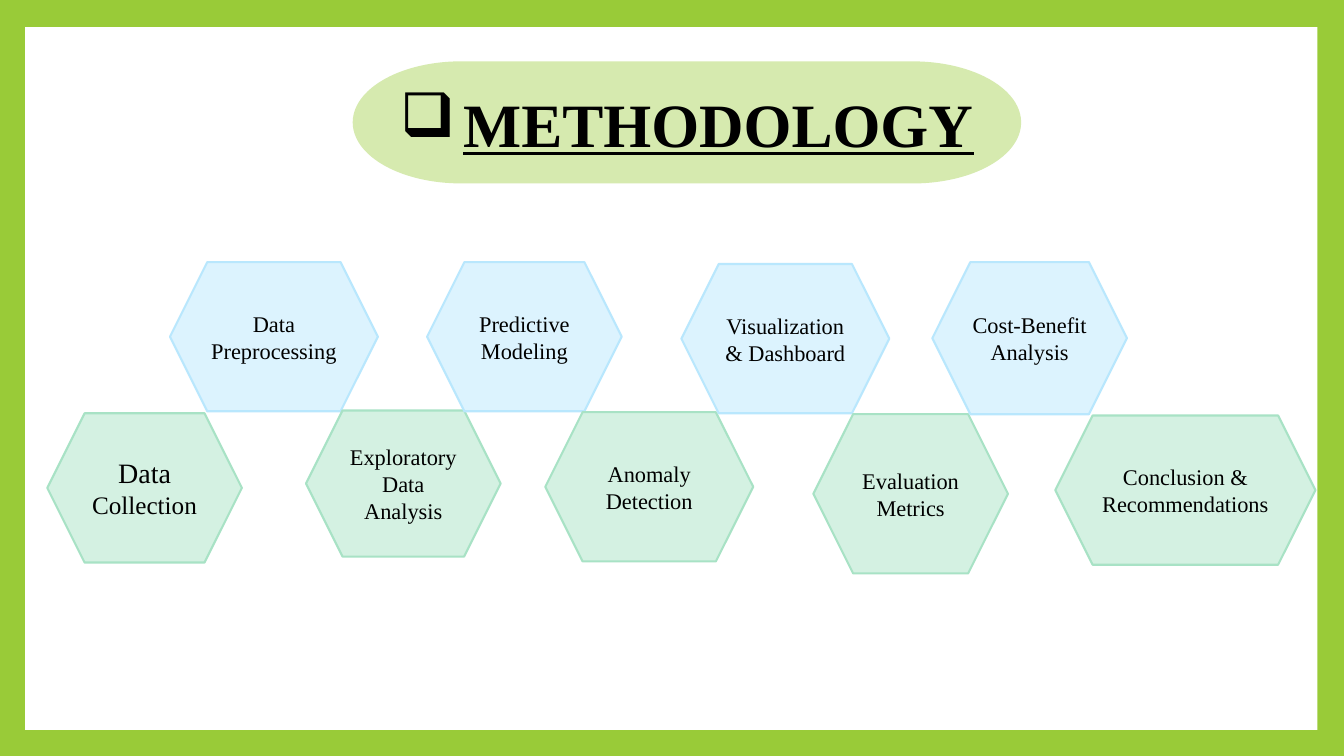
from pptx import Presentation
from pptx.dml.color import RGBColor
from pptx.enum.shapes import MSO_SHAPE as Preset
from pptx.enum.text import MSO_ANCHOR as Anchor, PP_ALIGN as Align
from pptx.oxml.ns import qn
from pptx.util import Pt
from lxml.etree import SubElement

TITLE, TITLE_BULLET, TITLE_INDENT = "METHODOLOGY", "❑", 45
FONT = "Times New Roman"
BORDER, PANEL, BANNER, INK = "99CB38", "FFFFFF", "D6EAAF", "000000"
GREEN, BLUE = ("D4F1E2", "A8E2C5"), ("DCF3FE", "B9E7FD")
STEPS = [
    (["Data Collection"], 33.8, 295.2, 139, 106.6),
    (["Data Preprocessing"], 121.4, 187.2, 148.5, 106.6),
    (["Exploratory", "Data Analysis"], 218.6, 293.2, 139, 104.4),
    (["Predictive Modeling"], 305.1, 187.2, 139, 106.6),
    (["Anomaly Detection"], 389.5, 294.4, 148.5, 106.6),
    (["Visualization & Dashboard"], 486.7, 188.6, 148.5, 106.6),
    (["Evaluation Metrics"], 581, 295.8, 139, 113.8),
    (["Cost-Benefit Analysis"], 666, 187.2, 139, 108.7),
    (["Conclusion & Recommendations"], 753.8, 296.8, 185.8, 106.6),
]
STEP_SIZE = 16
FIRST_STEP_SIZES = {"Data ": 20, "Collection": 18}


def color(value):
    return RGBColor.from_string(value)


def add_block(preset, left, top, width, height, fill, line=None):
    block = slide.shapes.add_shape(preset, Pt(left), Pt(top), Pt(width), Pt(height))
    block.shadow.inherit = False
    block.fill.solid()
    block.fill.fore_color.rgb = color(fill)
    if line:
        block.line.color.rgb = color(line)
        block.line.width = Pt(1.5)
    else:
        block.line.fill.background()
    block.text_frame.word_wrap = True
    block.text_frame.vertical_anchor = Anchor.MIDDLE
    return block


def style(paragraph, size):
    paragraph.alignment = Align.CENTER
    paragraph.font.name = FONT
    paragraph.font.size = Pt(size)
    paragraph.font.color.rgb = color(INK)


def add_title():
    banner = add_block(Preset.FLOWCHART_TERMINATOR, 252.7, 44.6, 476, 85.7, BANNER, BANNER)
    heading = banner.text_frame.paragraphs[0]
    run = heading.add_run()
    run.text = TITLE
    style(heading, 44)
    run.font.size = Pt(44)
    run.font.name = FONT
    run.font.color.rgb = color(INK)
    run.font.bold = run.font.underline = True
    props = heading._p.get_or_add_pPr()
    props.set("marL", str(Pt(TITLE_INDENT)))
    props.set("indent", str(-Pt(TITLE_INDENT)))
    bullet = props.makeelement(qn("a:buChar"), {"char": TITLE_BULLET})
    props.insert(0, bullet)


def add_step(index, lines, left, top, width, height):
    fill, line = BLUE if index % 2 else GREEN
    frame = add_block(Preset.HEXAGON, left, top, width, height, fill, line).text_frame
    frame.text = "\n".join(lines)
    for paragraph in frame.paragraphs:
        style(paragraph, STEP_SIZE)
    if index == 0:
        label = frame.paragraphs[0]
        label.clear()
        for word, size in FIRST_STEP_SIZES.items():
            run = label.add_run()
            run.text = word
            run.font.size = Pt(size)


deck = Presentation()
deck.slide_width, deck.slide_height = Pt(960), Pt(540)
slide = deck.slides.add_slide(deck.slide_layouts[6])
slide.background.fill.solid()
slide.background.fill.fore_color.rgb = color(BORDER)
add_block(Preset.RECTANGLE, 18, 19.4, 923, 502, PANEL)
add_title()
for index, step in enumerate(STEPS):
    add_step(index, *step)
deck.save("out.pptx")
